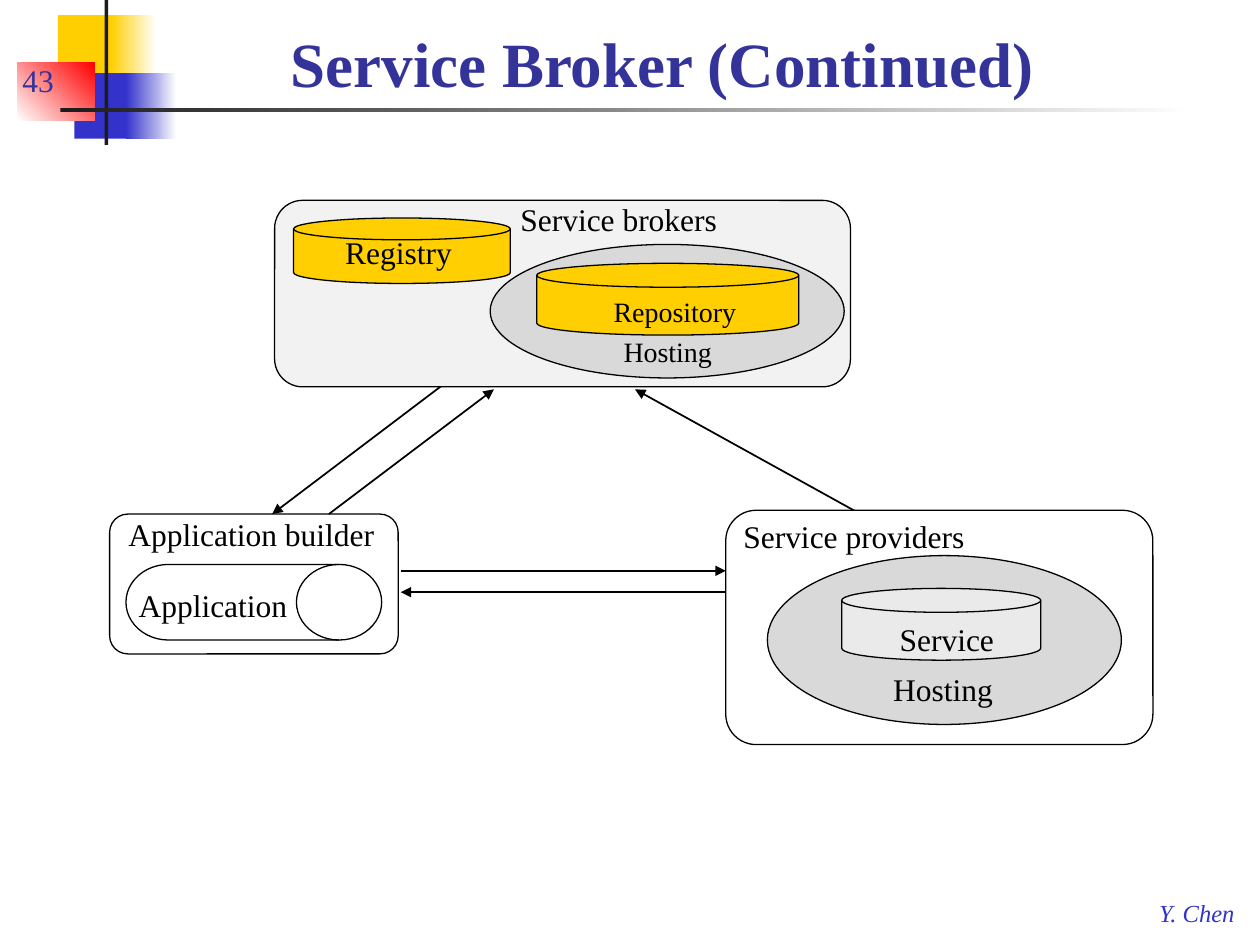
from dataclasses import dataclass
from typing import Optional

from lxml.etree import SubElement
from pptx import Presentation
from pptx.dml.color import RGBColor
from pptx.enum.shapes import MSO_CONNECTOR, MSO_SHAPE
from pptx.enum.text import MSO_ANCHOR
from pptx.oxml.ns import qn
from pptx.util import Inches, Pt

SLIDE_WIDTH, SLIDE_HEIGHT = Inches(10), Inches(7.5)
COLUMNS, ROWS = 100, 75


@dataclass(frozen=True)
class Theme:
    font: str = "Times New Roman"
    black: str = "000000"
    white: str = "FFFFFF"
    charcoal: str = "1C1C1C"
    gold: str = "FFCF01"
    blue: str = "3333CC"
    red: str = "FF0000"
    navy: str = "333399"
    pale: str = "F2F2F2"
    silver: str = "EAEAEA"
    grey: str = "D9D9D9"
    title_size: int = 36
    body_size: int = 18
    small_size: int = 16
    footer_size: int = 14
    outline_width: float = 0.75
    arrow_width: float = 1


THEME = Theme()


@dataclass(frozen=True)
class Area:
    """A place on the grid, in columns and rows."""
    column: float
    row: float
    width: float
    height: float


@dataclass(frozen=True)
class Block:
    """A decorative rectangle, fading to a second colour if one is given."""
    area: Area
    color: str
    fade_to: Optional[str] = None
    angle: float = 0


@dataclass(frozen=True)
class Node:
    kind: MSO_SHAPE
    area: Area
    fill: Optional[str] = None
    rounding: Optional[float] = None


@dataclass(frozen=True)
class Label:
    text: str
    area: Area
    size: int = THEME.body_size
    color: str = THEME.black
    bold: bool = False
    italic: bool = False
    padded: bool = False
    wrap: bool = False
    anchor: MSO_ANCHOR = MSO_ANCHOR.TOP


@dataclass(frozen=True)
class Arrow:
    start: tuple[float, float]
    end: tuple[float, float]


BOX = MSO_SHAPE.ROUNDED_RECTANGLE
DISK = MSO_SHAPE.FLOWCHART_MAGNETIC_DISK
DRUM = MSO_SHAPE.FLOWCHART_DIRECT_ACCESS_STORAGE

DECORATION = [
    Block(Area(4.6, 1.2, 4.8, 5.2), THEME.gold),
    Block(Area(8.8, 1.2, 3.6, 5.2), THEME.gold, THEME.white),
    Block(Area(5.9, 5.8, 4.6, 5.2), THEME.blue),
    Block(Area(10, 5.8, 4, 5.2), THEME.blue, THEME.white),
    Block(Area(1.4, 5, 6.1, 4.6), THEME.white, THEME.red, 45),
    Block(Area(8.3, 0, 0.3, 11.5), THEME.charcoal),
    Block(Area(4.8, 8.6, 90, 0.3), THEME.charcoal, THEME.white),
]

FRAME_TEXTS = [
    Label("Y. Chen", Area(91, 70.8, 8.2, 3.3), THEME.footer_size, THEME.blue,
          italic=True, padded=True),
    Label("43", Area(0.8, 3.3, 7.9, 5), color=THEME.navy, padded=True,
          wrap=True, anchor=MSO_ANCHOR.BOTTOM),
    Label("Service Broker (Continued)", Area(22.1, 0.8, 68.6, 8.3),
          THEME.title_size, THEME.navy, bold=True, padded=True, wrap=True,
          anchor=MSO_ANCHOR.MIDDLE),
]

# Listed from back to front.
DIAGRAM = [
    Arrow((36, 29.9), (21.6, 40.8)),
    Node(BOX, Area(21.8, 15.9, 45.7, 14.8), THEME.pale, 0.15),
    Label("Service brokers", Area(41.3, 15.9, 19.5, 3)),
    Arrow((26.1, 40.8), (39.2, 30.9)),
    Arrow((68.3, 40.8), (50.4, 30.9)),
    Node(BOX, Area(57.6, 40.5, 33.9, 18.6), THEME.white, 0.13),
    Label("Service providers", Area(59, 41, 17.7, 3)),
    Node(BOX, Area(8.7, 40.8, 22.9, 11.1), rounding=0.13),
    Label("Application builder", Area(10.2, 40.9, 19.7, 3)),
    Node(DRUM, Area(10, 44.8, 20.3, 6)),
    Label("Application", Area(11, 46.5, 11.9, 3)),
    Arrow((31.8, 45.3), (57.6, 45.3)),
    Arrow((57.6, 47), (31.8, 47)),
    Node(MSO_SHAPE.OVAL, Area(60.9, 44.1, 28.1, 13.4), THEME.grey),
    Node(DISK, Area(66.8, 46.7, 15.8, 5.7), THEME.silver),
    Label("Service", Area(71.4, 49.2, 8.3, 3)),
    Label("Hosting", Area(69.9, 52.7, 10, 4), padded=True),
    Node(MSO_SHAPE.OVAL, Area(38.9, 19.4, 28.1, 10.6), THEME.grey),
    Node(DISK, Area(42.6, 20.9, 20.8, 5.7), THEME.gold),
    Label("Repository", Area(48.7, 23.4, 10.9, 2.7), THEME.small_size),
    Label("Hosting", Area(48.5, 26.1, 9.1, 3.7), THEME.small_size, padded=True),
    Node(DISK, Area(23.3, 17.3, 17.2, 5.2), THEME.gold),
    Label("Registry", Area(27.4, 18.5, 10.6, 3)),
]


def across(columns: float) -> int:
    return round(SLIDE_WIDTH * columns / COLUMNS)


def down(rows: float) -> int:
    return round(SLIDE_HEIGHT * rows / ROWS)


def place(area: Area) -> tuple[int, int, int, int]:
    return across(area.column), down(area.row), across(area.width), down(area.height)


def rgb(color: str) -> RGBColor:
    return RGBColor.from_string(color)


def draw_block(slide, block: Block) -> None:
    shape = slide.shapes.add_shape(MSO_SHAPE.RECTANGLE, *place(block.area))
    shape.shadow.inherit = False
    shape.line.fill.background()
    if block.fade_to is None:
        shape.fill.solid()
        shape.fill.fore_color.rgb = rgb(block.color)
        return
    shape.fill.gradient()
    shape.fill.gradient_angle = block.angle
    for stop, color in zip(shape.fill.gradient_stops, (block.color, block.fade_to)):
        stop.color.rgb = rgb(color)


def draw_node(slide, node: Node) -> None:
    shape = slide.shapes.add_shape(node.kind, *place(node.area))
    shape.shadow.inherit = False
    if node.rounding is not None:
        shape.adjustments[0] = node.rounding
    if node.fill is None:
        shape.fill.background()
    else:
        shape.fill.solid()
        shape.fill.fore_color.rgb = rgb(node.fill)
    shape.line.color.rgb = rgb(THEME.black)
    shape.line.width = Pt(THEME.outline_width)


def draw_label(slide, label: Label) -> None:
    text_frame = slide.shapes.add_textbox(*place(label.area)).text_frame
    text_frame.word_wrap = label.wrap
    text_frame.vertical_anchor = label.anchor
    if not label.padded:
        text_frame.margin_left = text_frame.margin_right = 0
        text_frame.margin_top = text_frame.margin_bottom = 0
    text_frame.text = label.text
    font = text_frame.paragraphs[0].runs[0].font
    font.name, font.size = THEME.font, Pt(label.size)
    font.bold, font.italic = label.bold, label.italic
    font.color.rgb = rgb(label.color)


def draw_arrow(slide, arrow: Arrow) -> None:
    connector = slide.shapes.add_connector(
        MSO_CONNECTOR.STRAIGHT,
        across(arrow.start[0]), down(arrow.start[1]),
        across(arrow.end[0]), down(arrow.end[1]))
    connector.line.color.rgb = rgb(THEME.black)
    connector.line.width = Pt(THEME.arrow_width)
    SubElement(connector.line._get_or_add_ln(), qn("a:tailEnd"), type="triangle")
    SubElement(connector._element.spPr, qn("a:effectLst"))


def main() -> None:
    presentation = Presentation()
    presentation.slide_width, presentation.slide_height = SLIDE_WIDTH, SLIDE_HEIGHT
    slide = presentation.slides.add_slide(presentation.slide_layouts[6])
    painters = {Block: draw_block, Node: draw_node, Label: draw_label, Arrow: draw_arrow}
    for element in DECORATION + FRAME_TEXTS + DIAGRAM:
        painters[type(element)](slide, element)
    presentation.save("out.pptx")


if __name__ == "__main__":
    main()
